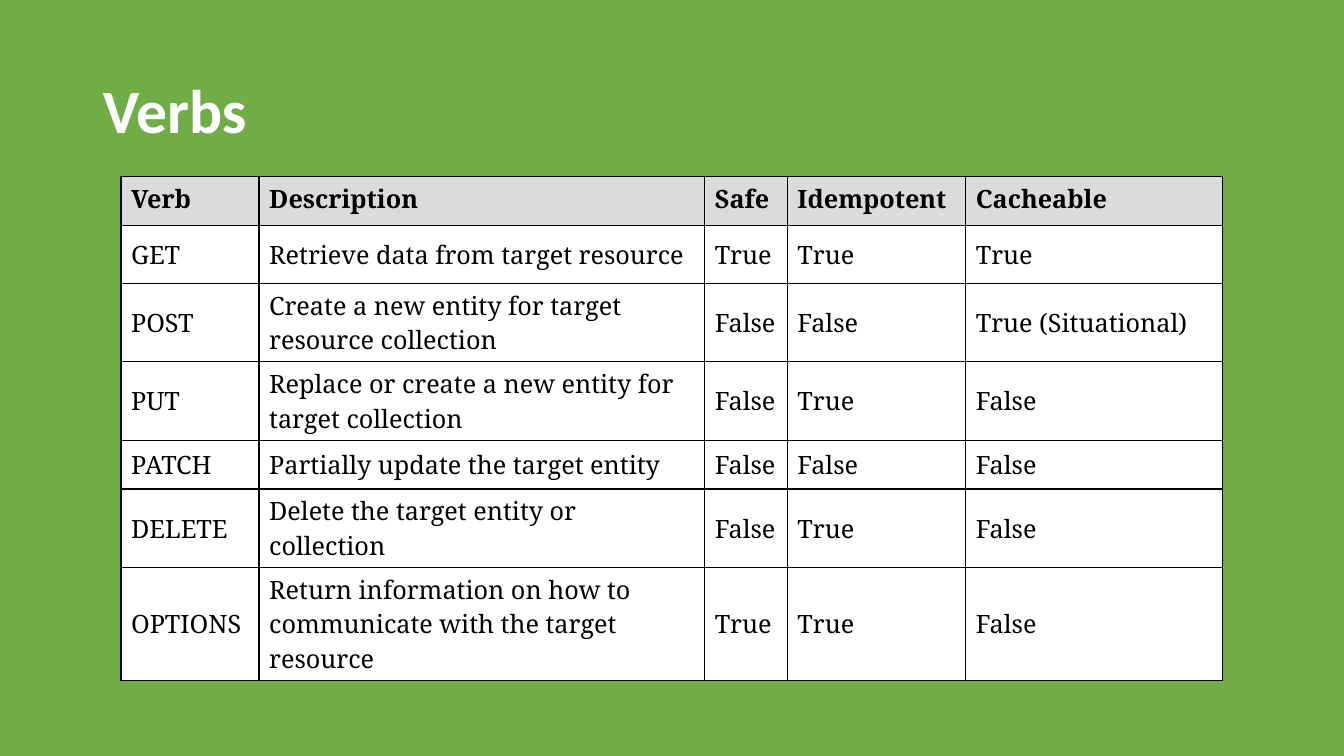
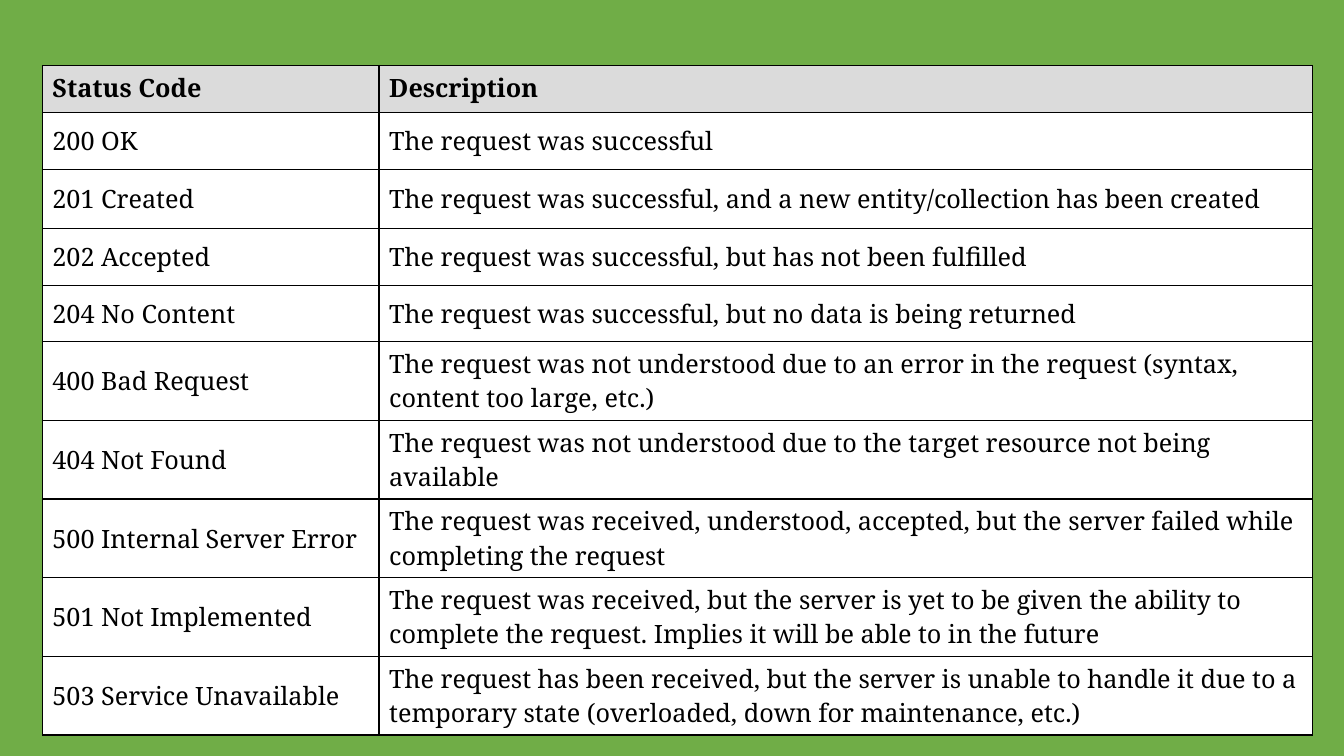
from lxml.etree import SubElement
from pptx import Presentation
from pptx.dml.color import RGBColor
from pptx.enum.text import MSO_ANCHOR, PP_ALIGN
from pptx.oxml.ns import qn
from pptx.util import Inches, Pt

GREEN = RGBColor(0x70, 0xAD, 0x47)
WHITE = RGBColor(0xFF, 0xFF, 0xFF)
BLACK = RGBColor(0x00, 0x00, 0x00)
HEADER_GREY = RGBColor(0xDB, 0xDB, 0xDB)
TITLE_FONT = "Calibri"
TABLE_FONT = "Noto Serif"
TITLE_ONLY, BLANK = 5, 6

VERBS = [
    ("Verb", "Description", "Safe", "Idempotent", "Cacheable"),
    ("GET", "Retrieve data from target resource", "True", "True", "True"),
    ("POST", "Create a new entity for target resource collection",
     "False", "False", "True (Situational)"),
    ("PUT", "Replace or create a new entity for target collection",
     "False", "True", "False"),
    ("PATCH", "Partially update the target entity", "False", "False", "False"),
    ("DELETE", "Delete the target entity or collection", "False", "True", "False"),
    ("OPTIONS", "Return information on how to communicate with the target resource",
     "True", "True", "False"),
]
VERB_COLUMNS = [1.37, 4.42, 0.82, 1.77, 2.55]
VERB_ROWS = [0.49, 0.57, 0.66, 0.53, 0.48, 0.59, 1]

STATUS_CODES = [
    ("Status Code", "Description"),
    ("200 OK", "The request was successful"),
    ("201 Created",
     "The request was successful, and a new entity/collection has been created"),
    ("202 Accepted", "The request was successful, but has not been fulfilled"),
    ("204 No Content", "The request was successful, but no data is being returned"),
    ("400 Bad Request",
     "The request was not understood due to an error in the request "
     "(syntax, content too large, etc.)"),
    ("404 Not Found",
     "The request was not understood due to the target resource not being available"),
    ("500 Internal Server Error",
     "The request was received, understood, accepted, but the server failed "
     "while completing the request"),
    ("501 Not Implemented",
     "The request was received, but the server is yet to be given the ability "
     "to complete the request. Implies it will be able to in the future"),
    ("503 Service Unavailable",
     "The request has been received, but the server is unable to handle it "
     "due to a temporary state (overloaded, down for maintenance, etc.)"),
]
STATUS_COLUMNS = [3.34, 9.26]
STATUS_ROWS = [0.47, 0.56, 0.59, 0.56, 0.56, 0.55, 0.53, 0.56, 0.57, 0.7]


def style_text(paragraph, font_name, size, color, bold):
    for run in paragraph.runs:
        run.font.name = font_name
        run.font.size = Pt(size)
        run.font.color.rgb = color
        run.font.bold = bold


def set_title(slide, text):
    title = slide.shapes.title
    title.left, title.top = Inches(0.92), Inches(0.4)
    title.width, title.height = Inches(11.5), Inches(1.45)
    title.text_frame.text = text
    title.text_frame.vertical_anchor = MSO_ANCHOR.MIDDLE
    heading = title.text_frame.paragraphs[0]
    heading.alignment = PP_ALIGN.LEFT
    heading.line_spacing = 0.9
    style_text(heading, TITLE_FONT, 44, WHITE, True)


def add_borders(cell):
    properties = cell._tc.get_or_add_tcPr()
    for side in ("a:lnL", "a:lnR", "a:lnT", "a:lnB"):
        line = SubElement(properties, qn(side), w=str(Pt(1)))
        fill = SubElement(line, qn("a:solidFill"))
        SubElement(fill, qn("a:srgbClr"), val=str(BLACK))


def fill_cell(cell, text, is_header):
    cell.text_frame.text = text
    cell.vertical_anchor = MSO_ANCHOR.TOP if is_header else MSO_ANCHOR.MIDDLE
    style_text(cell.text_frame.paragraphs[0], TABLE_FONT, 18, BLACK, is_header)
    add_borders(cell)
    cell.fill.solid()
    cell.fill.fore_color.rgb = HEADER_GREY if is_header else WHITE


def add_grid(slide, left, top, widths, heights, entries):
    grid = slide.shapes.add_table(
        len(heights), len(widths), Inches(left), Inches(top),
        Inches(sum(widths)), Inches(sum(heights))).table
    grid.horz_banding = False
    for column, width in zip(grid.columns, widths):
        column.width = Inches(width)
    for row, height in zip(grid.rows, heights):
        row.height = Inches(height)
    for row_index, row_entries in enumerate(entries):
        for column_index, text in enumerate(row_entries):
            fill_cell(grid.cell(row_index, column_index), text, row_index == 0)


def main():
    deck = Presentation()
    deck.slide_width, deck.slide_height = Inches(13.33), Inches(7.5)
    background = deck.slide_master.background.fill
    background.solid()
    background.fore_color.rgb = GREEN

    verbs = deck.slides.add_slide(deck.slide_layouts[TITLE_ONLY])
    set_title(verbs, "Verbs")
    add_grid(verbs, 1.2, 1.75, VERB_COLUMNS, VERB_ROWS, VERBS)

    status_codes = deck.slides.add_slide(deck.slide_layouts[BLANK])
    add_grid(status_codes, 0.42, 0.65, STATUS_COLUMNS, STATUS_ROWS, STATUS_CODES)

    deck.save("out.pptx")


main()
